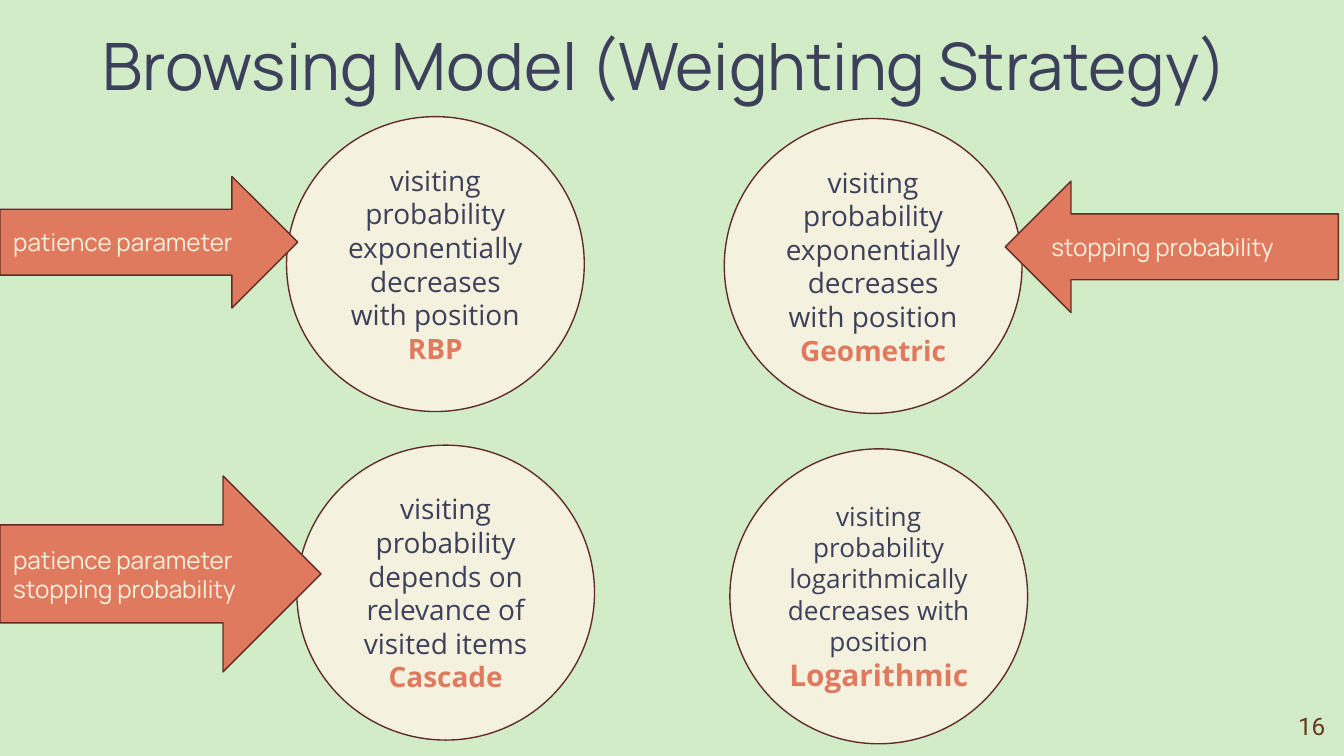
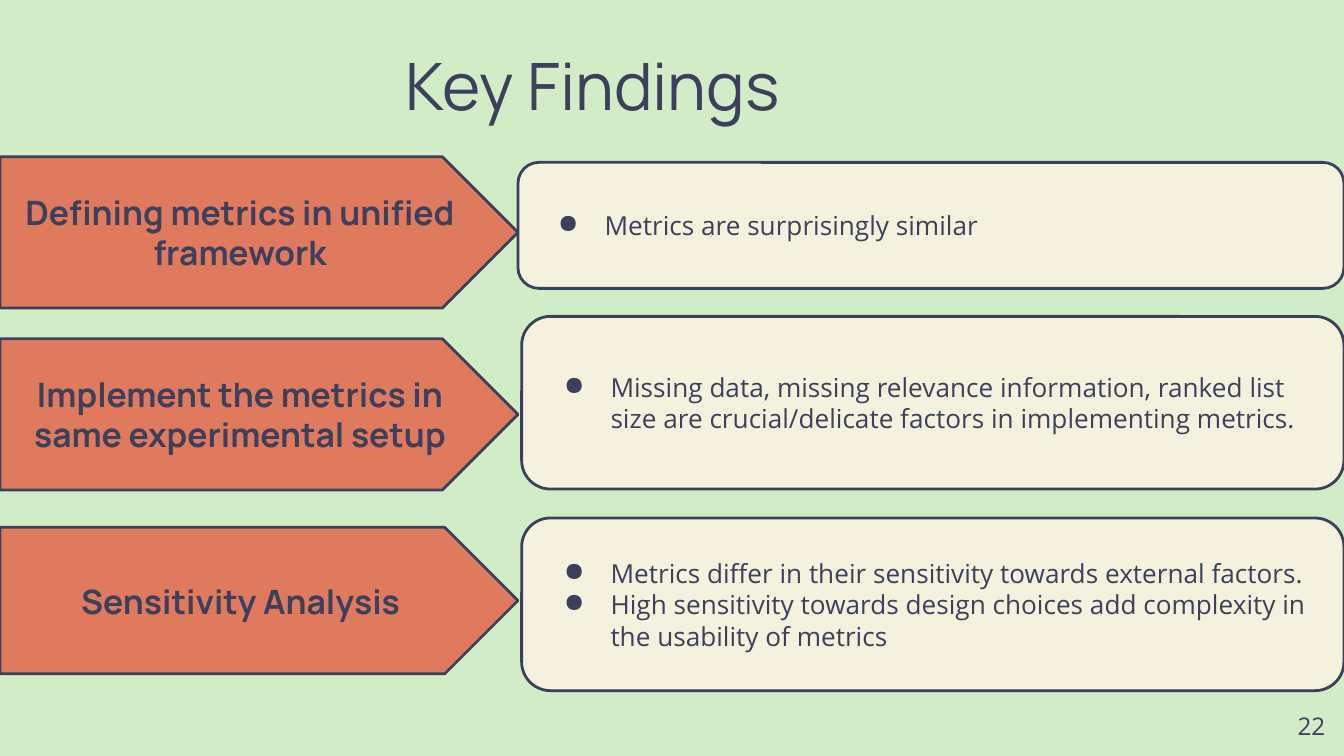
from lxml import etree
from pptx import Presentation
from pptx.dml.color import RGBColor
from pptx.enum.shapes import MSO_SHAPE
from pptx.enum.text import MSO_ANCHOR, PP_ALIGN
from pptx.oxml.ns import qn
from pptx.util import Pt

GREEN = RGBColor(0xD2, 0xEC, 0xC8)
CREAM = RGBColor(0xF4, 0xF1, 0xDE)
CORAL = RGBColor(0xE0, 0x7A, 0x5F)
NAVY = RGBColor(0x3D, 0x40, 0x5B)
BROWN = RGBColor(0x61, 0x2C, 0x28)
RUST = RGBColor(0x69, 0x36, 0x23)
HEAD, BODY, NUMBER = "Manrope", "Open Sans", "Roboto"
LEFT, CENTER, RIGHT = PP_ALIGN.LEFT, PP_ALIGN.CENTER, PP_ALIGN.RIGHT
MIDDLE = MSO_ANCHOR.MIDDLE
OVAL, ROUNDED = MSO_SHAPE.OVAL, MSO_SHAPE.ROUNDED_RECTANGLE
RIGHT_ARROW, LEFT_ARROW = MSO_SHAPE.RIGHT_ARROW, MSO_SHAPE.LEFT_ARROW
PENTAGON = MSO_SHAPE.PENTAGON


def add_box(s, kind, box, fill, line, width):
    """Add a filled, outlined shape, or a text box if kind is None."""
    box = [Pt(v) for v in box]
    if kind is None:
        return s.shapes.add_textbox(*box).text_frame
    sp = s.shapes.add_shape(kind, *box)
    sp.shadow.inherit = False
    sp.fill.solid()
    sp.fill.fore_color.rgb = fill
    sp.line.color.rgb = line
    sp.line.width = Pt(width)
    return sp.text_frame


def write(tf, lines, size, font, color, align=LEFT, inset=7.2):
    """Write one paragraph per line in a single style."""
    tf.word_wrap = True
    tf.vertical_anchor = MIDDLE
    tf.margin_left = tf.margin_right = Pt(inset)
    tf.margin_top = tf.margin_bottom = Pt(inset)
    tf.text = "\n".join(lines)
    for p in tf.paragraphs:
        p.alignment = align
        for r in p.runs:
            r.font.size = Pt(size)
            r.font.name = font
            r.font.color.rgb = color


prs = Presentation()
prs.slide_width, prs.slide_height = Pt(720), Pt(405)

# Background, title and slide number
slides = []
for title, box, number, font, color in [
    ("Browsing Model (Weighting Strategy)", (55, 11.5, 665, 45.5), "16", NUMBER, RUST),
    ("Key Findings", (217.5, 22.5, 241, 45.5), "22", BODY, NAVY),
]:
    s = prs.slides.add_slide(prs.slide_layouts[6])
    s.background.fill.solid()
    s.background.fill.fore_color.rgb = GREEN
    write(add_box(s, None, box, None, None, 0), [title], 35, HEAD, NAVY, inset=0)
    tf = add_box(s, None, (674, 373.5, 43, 31), None, None, 0)
    write(tf, [number], 13, font, color, RIGHT)
    slides.append(s)
browsing, findings = slides

# Browsing models
for x, y, text, model, size, model_size in [
    (153.5, 62.5, "visiting probability exponentially decreases with position", "RBP", 15, 15),
    (159, 238.5, "visiting probability depends on relevance of visited items", "Cascade", 15, 15),
    (388, 63.5, "visiting probability exponentially decreases with position", "Geometric", 15, 15),
    (391, 240.5, "visiting probability logarithmically decreases with position", "Logarithmic", 14, 16),
]:
    tf = add_box(browsing, OVAL, (x, y, 159.5, 158), CREAM, BROWN, 0.75)
    write(tf, [text, model], size, BODY, NAVY, CENTER)
    r = tf.paragraphs[1].runs[0]
    r.font.size = Pt(model_size)
    r.font.bold = True
    r.font.color.rgb = CORAL

# Parameters pointing at the models
for kind, box, lines in [
    (RIGHT_ARROW, (0, 94.5, 159.5, 70.5), ["patience parameter"]),
    (RIGHT_ARROW, (0, 255, 172, 105), ["patience parameter", "stopping probability"]),
    (LEFT_ARROW, (538.5, 97, 178.5, 70.5), ["stopping probability"]),
]:
    tf = add_box(browsing, kind, box, CORAL, BROWN, 0.75)
    write(tf, lines, 13, HEAD, CREAM)

# Key findings: a step on the left, its results on the right
for step, step_y, step_h, x, y, h, results in [
    ("Defining metrics in unified framework", 84, 81, 277.5, 87, 67.5,
     ["Metrics are surprisingly similar"]),
    ("Implement the metrics in same experimental setup", 181.5, 81, 279.5, 169.5, 92.5,
     ["Missing data, missing relevance information, ranked list size are "
      "crucial/delicate factors in implementing metrics."]),
    ("Sensitivity Analysis", 282.5, 78.5, 279.5, 277.5, 92.5,
     ["Metrics differ in their sensitivity towards external factors.",
      "High sensitivity towards design choices add complexity in the usability of metrics"]),
]:
    tf = add_box(findings, PENTAGON, (0, step_y, 277.5, step_h), CORAL, NAVY, 1.5)
    write(tf, [step], 18, HEAD, NAVY, CENTER)
    tf.paragraphs[0].runs[0].font.bold = True

    tf = add_box(findings, ROUNDED, (x, y, 720 - x, h), CREAM, NAVY, 1.5)
    write(tf, results, 14, BODY, NAVY)
    for p in tf.paragraphs:
        pPr = p._p.get_or_add_pPr()
        pPr.set("marL", str(Pt(36)))
        pPr.set("indent", str(-Pt(25)))
        clr = etree.SubElement(pPr, qn("a:buClr"))
        etree.SubElement(clr, qn("a:srgbClr")).set("val", str(NAVY))
        etree.SubElement(pPr, qn("a:buChar")).set("char", "●")

prs.save("out.pptx")
